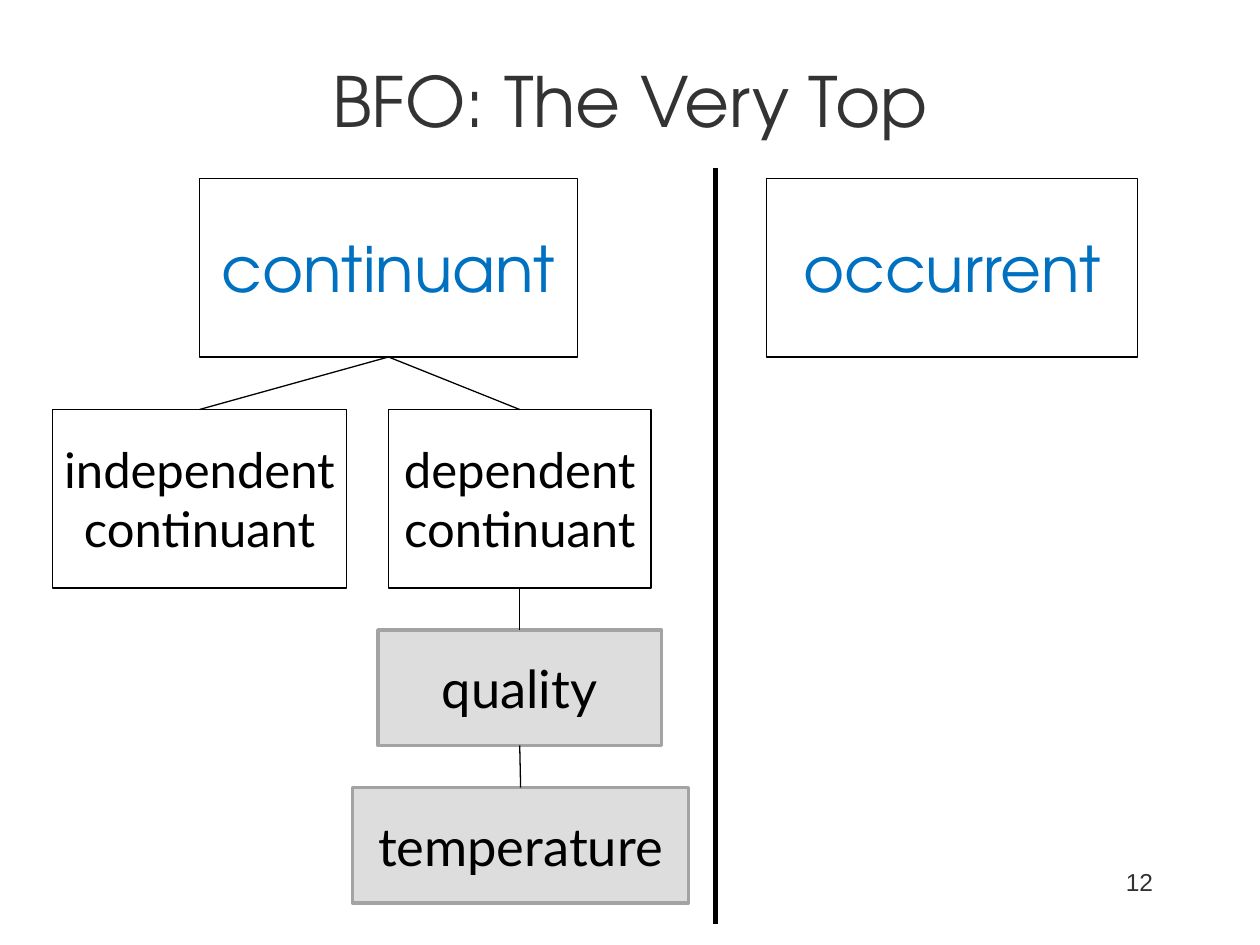
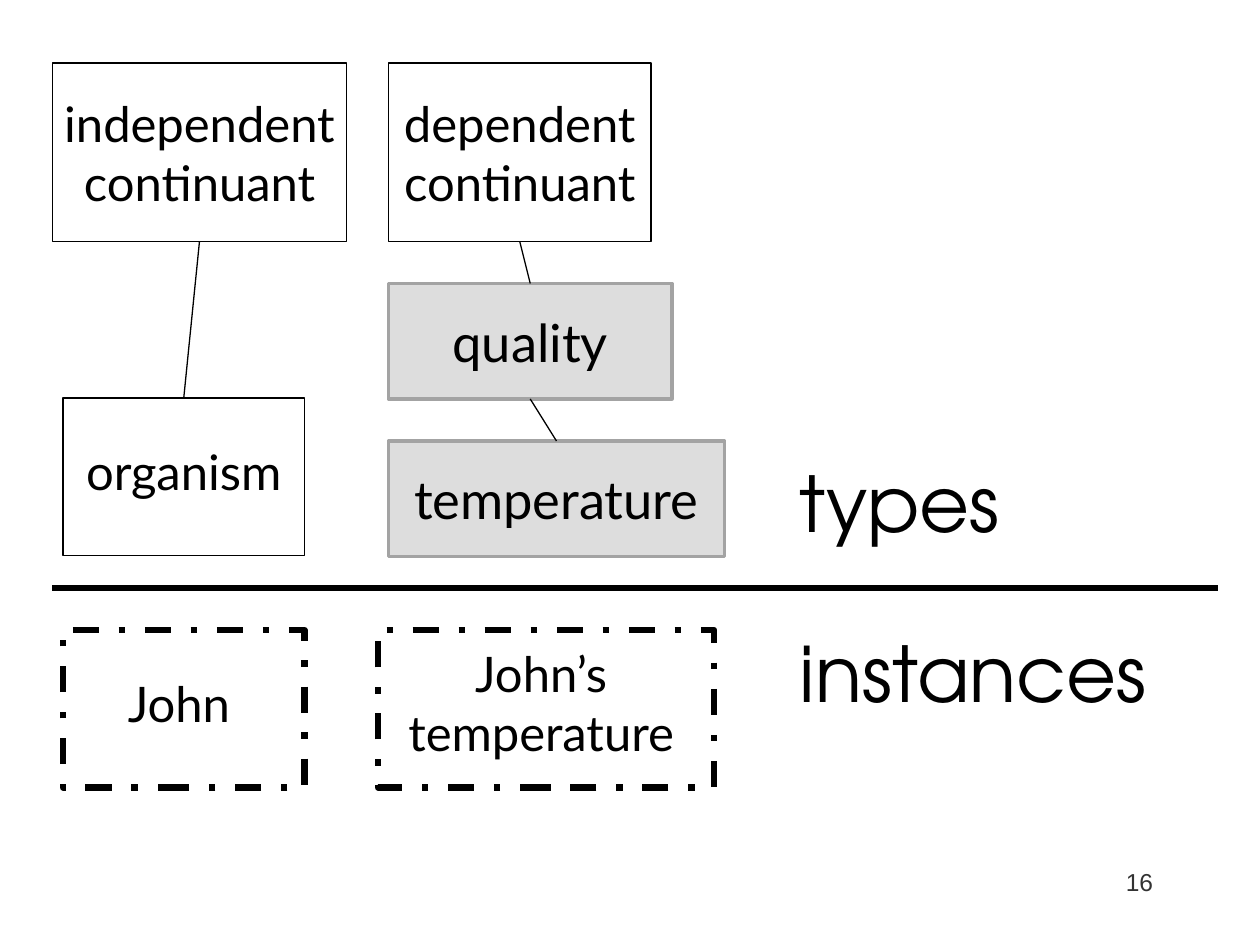
from dataclasses import dataclass

from lxml import etree
from pptx import Presentation
from pptx.dml.color import RGBColor
from pptx.enum.dml import MSO_LINE
from pptx.enum.shapes import MSO_CONNECTOR, MSO_SHAPE
from pptx.enum.text import MSO_ANCHOR, PP_ALIGN
from pptx.oxml.ns import qn
from pptx.util import Pt

RECTANGLE = MSO_SHAPE.RECTANGLE
STRAIGHT = MSO_CONNECTOR.STRAIGHT
DASH_DOT = MSO_LINE.DASH_DOT
MIDDLE = MSO_ANCHOR.MIDDLE
TOP_ANCHOR = MSO_ANCHOR.TOP
LEFT, CENTER, RIGHT = PP_ALIGN.LEFT, PP_ALIGN.CENTER, PP_ALIGN.RIGHT
TOP_SIDE, BOTTOM_SIDE = 0, 2


@dataclass(frozen=True)
class Theme:
    black: RGBColor = RGBColor(0x00, 0x00, 0x00)
    dark: RGBColor = RGBColor(0x33, 0x33, 0x33)
    blue: RGBColor = RGBColor(0x00, 0x70, 0xC0)
    gray_fill: RGBColor = RGBColor(0xDD, 0xDD, 0xDD)
    gray_line: RGBColor = RGBColor(0xA3, 0xA3, 0xA3)
    display_font: str = "TeX Gyre Adventor"
    body_font: str = "Lato"
    number_font: str = "Arial"
    title_size: float = 39.6
    category_size: float = 36
    type_size: float = 28
    quality_size: float = 30
    level_size: float = 44
    number_size: float = 14
    thin: float = 0.75
    medium: float = 2
    divider: float = 3
    dashed: float = 3.75


THEME = Theme()
TYPE_HEIGHT = 102
QUALITY_HEIGHT = 66
ENTITY_HEIGHT = 90


def write_text(shape, text, font, size, color, alignment, anchor, wrap=True):
    text_frame = shape.text_frame
    text_frame.text = text
    text_frame.word_wrap = wrap
    text_frame.vertical_anchor = anchor
    for paragraph in text_frame.paragraphs:
        paragraph.alignment = alignment
        paragraph.font.name = font
        paragraph.font.size = Pt(size)
        paragraph.font.color.rgb = color


def add_label(slide, text, left, top, width, height, font, size, color,
              alignment=LEFT, anchor=TOP_ANCHOR):
    label = slide.shapes.add_textbox(Pt(left), Pt(top), Pt(width), Pt(height))
    write_text(label, text, font, size, color, alignment, anchor)


def add_box(slide, text, left, top, width, height, font=THEME.body_font,
            size=THEME.type_size, color=THEME.black, fill=None,
            line_color=THEME.black, line_width=THEME.thin, wrap=False):
    box = slide.shapes.add_shape(RECTANGLE, Pt(left), Pt(top), Pt(width), Pt(height))
    box.shadow.inherit = False
    if fill is None:
        box.fill.background()
    else:
        box.fill.solid()
        box.fill.fore_color.rgb = fill
    box.line.color.rgb = line_color
    box.line.width = Pt(line_width)
    write_text(box, text, font, size, color, CENTER, MIDDLE, wrap)
    return box


def add_category(slide, text, left, width):
    return add_box(slide, text, left, 102, width, TYPE_HEIGHT,
                   THEME.display_font, THEME.category_size, THEME.blue)


def add_continuant_types(slide, top):
    independent = add_box(slide, "independent\ncontinuant", 30, top, 168, TYPE_HEIGHT)
    dependent = add_box(slide, "dependent\ncontinuant", 222, top, 150, TYPE_HEIGHT)
    return independent, dependent


def add_quality_box(slide, text, left, top, width):
    return add_box(slide, text, left, top, width, QUALITY_HEIGHT,
                   size=THEME.quality_size, fill=THEME.gray_fill,
                   line_color=THEME.gray_line, line_width=THEME.medium, wrap=True)


def add_quality_chain(slide, dependent, top, quality_left, temperature_left):
    quality = add_quality_box(slide, "quality", quality_left, top, 162)
    temperature = add_quality_box(slide, "temperature", temperature_left, top + 90, 192)
    join(slide, dependent, quality)
    join(slide, quality, temperature)


def add_entity(slide, text, left, top, width):
    entity = add_box(slide, text, left, top, width, ENTITY_HEIGHT)
    entity.text_frame.margin_bottom = Pt(10.8)
    return entity


def add_instance(slide, text, left, width):
    instance = add_entity(slide, text, left, 360, width)
    instance.text_frame.margin_right = Pt(12.6)
    instance.line.width = Pt(THEME.dashed)
    instance.line.dash_style = DASH_DOT


def add_line(slide, start_x, start_y, end_x, end_y, width):
    line = slide.shapes.add_connector(STRAIGHT, Pt(start_x), Pt(start_y),
                                      Pt(end_x), Pt(end_y))
    line.line.color.rgb = THEME.black
    line.line.width = Pt(width)
    etree.SubElement(line._element.spPr, qn("a:effectLst"))
    return line


def join(slide, parent, child):
    line = add_line(slide, 0, 0, 0, 0, THEME.thin)
    line.begin_connect(parent, BOTTOM_SIDE)
    line.end_connect(child, TOP_SIDE)


def add_level(slide, text, top, width):
    add_label(slide, text, 450, top, width, 60.5,
              THEME.display_font, THEME.level_size, THEME.black)


def add_slide(presentation, number):
    slide = presentation.slides.add_slide(presentation.slide_layouts[6])
    add_label(slide, str(number), 516, 492, 150, 36, THEME.number_font,
              THEME.number_size, THEME.dark, RIGHT)
    return slide


def build_top_categories(presentation):
    slide = add_slide(presentation, 12)
    add_label(slide, "BFO: The Very Top", 0, 30, 720, 54, THEME.display_font,
              THEME.title_size, THEME.dark, CENTER, MIDDLE)
    continuant = add_category(slide, "continuant", 114, 216)
    add_category(slide, "occurrent", 438, 212)
    independent, dependent = add_continuant_types(slide, 234)
    for child in (independent, dependent):
        join(slide, continuant, child)
    add_quality_chain(slide, dependent, 360, 216, 201.5)
    add_line(slide, 409, 96, 409, 528, THEME.divider)


def build_types_and_instances(presentation):
    slide = add_slide(presentation, 16)
    independent, dependent = add_continuant_types(slide, 36)
    add_quality_chain(slide, dependent, 162, 222, 222)
    organism = add_entity(slide, "organism", 36, 227.5, 138)
    join(slide, independent, organism)
    add_line(slide, 696, 336, 30, 336, THEME.divider)
    add_level(slide, "types", 257, 162)
    add_level(slide, "instances", 354, 228)
    add_instance(slide, "John", 36, 138)
    add_instance(slide, "John’s\ntemperature", 216, 192)


def main():
    presentation = Presentation()
    presentation.slide_width = Pt(720)
    presentation.slide_height = Pt(540)
    build_top_categories(presentation)
    build_types_and_instances(presentation)
    presentation.save("out.pptx")


if __name__ == "__main__":
    main()
